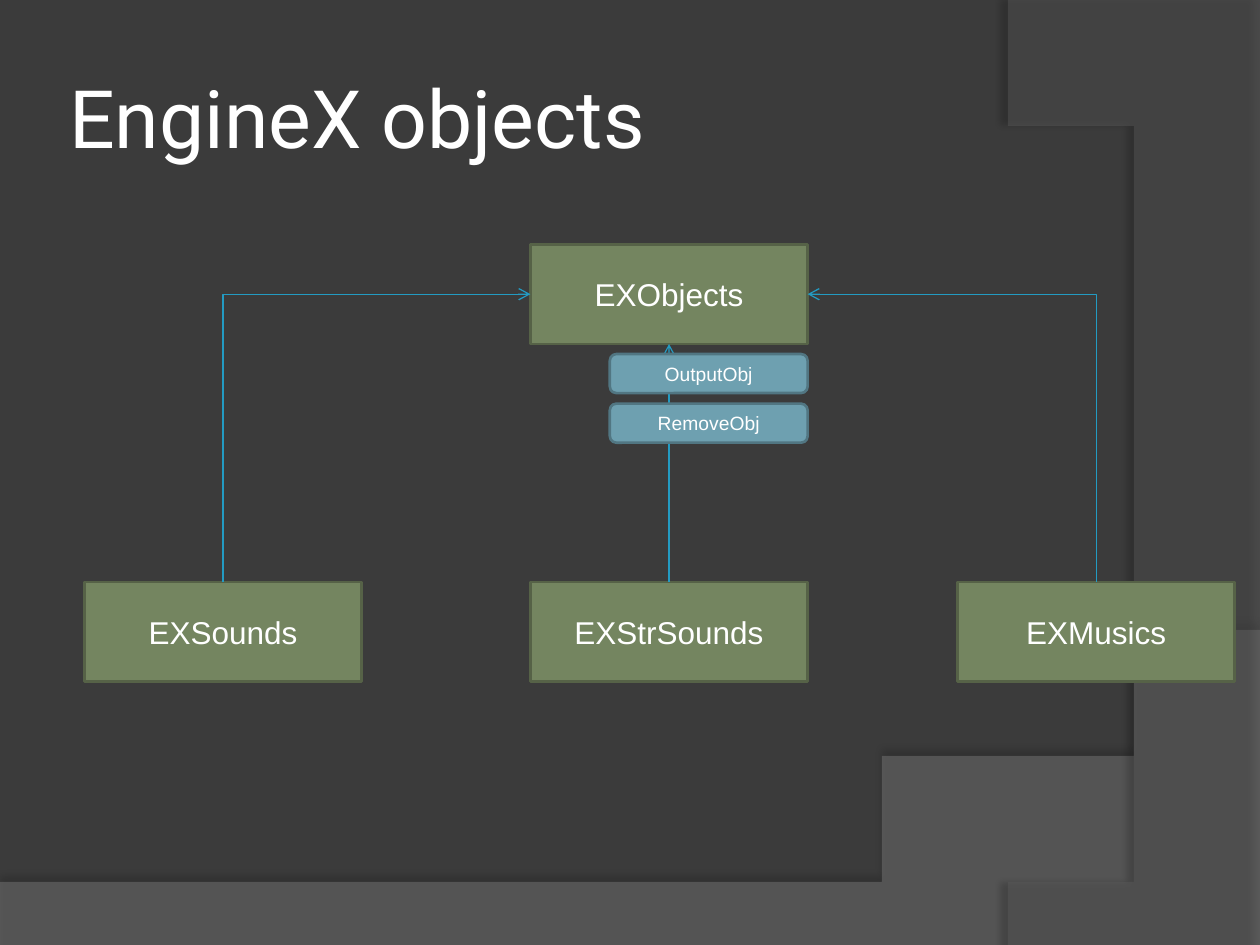
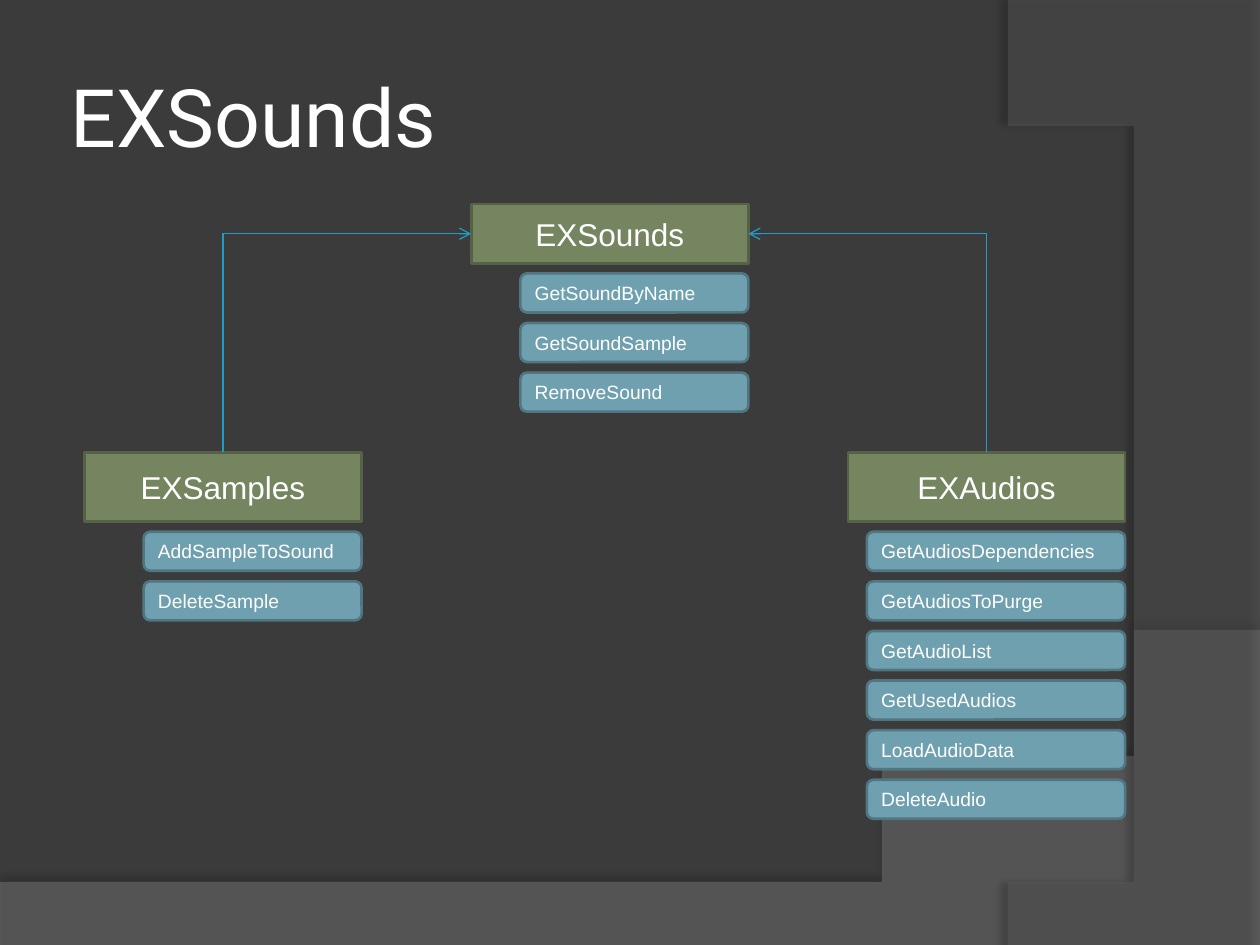
from lxml.etree import SubElement
from pptx import Presentation
from pptx.dml.color import RGBColor
from pptx.enum.shapes import MSO_CONNECTOR as CONN, MSO_SHAPE as SHAPE
from pptx.enum.text import MSO_ANCHOR as ANCHOR, PP_ALIGN as ALIGN
from pptx.oxml.ns import qn
from pptx.util import Inches, Pt

BACKGROUND, WHITE = "3B3B3B", "FFFFFF"
CLASS_FILL, CLASS_LINE = "748560", "566247"
METHOD_FILL, METHOD_LINE = "6EA0B0", "517682"
ARROW = "239BC2"
TITLE_FONT, BODY_FONT = "Roboto", "Arial"
CLASS_W = 2.2
METHOD_H, METHOD_GAP, METHOD_PITCH = 0.31, 0.08, 1 / 2.54
TOP, LEFT, BOTTOM, RIGHT = range(4)


def rgb(color):
    return RGBColor.from_string(color)


def write(shape, text, size, font, align):
    tf = shape.text_frame
    tf.text = text
    tf.word_wrap = True
    tf.vertical_anchor = ANCHOR.MIDDLE
    p = tf.paragraphs[0]
    p.alignment = align
    f = p.runs[0].font
    f.size, f.name, f.color.rgb = Pt(size), font, rgb(WHITE)


def add_title(s, text, x, y):
    box = s.shapes.add_textbox(Inches(x), Inches(y), Inches(8.17), Inches(1.25))
    tf = box.text_frame
    tf.margin_left = tf.margin_right = tf.margin_top = tf.margin_bottom = Inches(0.05)
    write(box, text, 46, TITLE_FONT, ALIGN.LEFT)


def bezier(p0, p1, p2, p3, steps=60):
    for i in range(1, steps + 1):
        t = i / steps
        u = 1 - t
        yield tuple(u**3 * a + 3 * u * u * t * b + 3 * u * t * t * c + t**3 * d
                    for a, b, c, d in zip(p0, p1, p2, p3))


def add_swoosh(s, corners, curve, color, opacity, shadow_opacity, distance, angle):
    points = corners + list(bezier(corners[-1], *curve))
    builder = s.shapes.build_freeform(*points[0], scale=Inches(1))
    builder.add_line_segments(points[1:])
    swoosh = builder.convert_to_shape()
    swoosh.fill.solid()
    swoosh.fill.fore_color.rgb = rgb(color)
    swoosh.line.fill.background()
    swoosh.shadow.inherit = False
    spPr = swoosh._element.spPr
    fill_color = spPr.find(qn("a:solidFill")).find(qn("a:srgbClr"))
    SubElement(fill_color, qn("a:alpha"), val=str(opacity * 1000))
    shadow = SubElement(spPr.find(qn("a:effectLst")), qn("a:outerShdw"),
                        blurRad=str(Pt(4)), dist=str(Pt(distance)),
                        dir=str(angle * 60000), rotWithShape="0")
    shadow_color = SubElement(shadow, qn("a:srgbClr"), val="000000")
    SubElement(shadow_color, qn("a:alpha"), val=str(shadow_opacity * 1000))


def add_backdrop(s):
    add_swoosh(s, [(0, 7.05), (0, 7.51), (10, 7.51), (10, 5.2)],
               [(5.59, 7.29), (3.91, 7.19), (0, 7.05)], "7F7F7F", 45, 35, 3.5, 270)
    add_swoosh(s, [(10, 0.02), (10, 7.5), (8.21, 7.5)],
               [(9.35, 6.19), (10.18, 3), (8, 0)], "5E5E5E", 40, 45, 4, 180)


def add_box(s, kind, x, y, w, h, fill, line):
    sp = s.shapes.add_shape(kind, Inches(x), Inches(y), Inches(w), Inches(h))
    sp.shadow.inherit = False
    sp.fill.solid()
    sp.fill.fore_color.rgb = rgb(fill)
    sp.line.color.rgb = rgb(line)
    sp.line.width = Pt(1.5)
    return sp


def add_class(s, name, x, y, h):
    sp = add_box(s, SHAPE.RECTANGLE, x, y, CLASS_W, h, CLASS_FILL, CLASS_LINE)
    write(sp, name, 18, BODY_FONT, ALIGN.CENTER)
    return sp


def add_methods(s, names, x, y, h, w, align=ALIGN.LEFT):
    for i, name in enumerate(names):
        sp = add_box(s, SHAPE.ROUNDED_RECTANGLE, x + CLASS_W - w,
                     y + h + METHOD_GAP + i * METHOD_PITCH, w, METHOD_H,
                     METHOD_FILL, METHOD_LINE)
        write(sp, name, 11, BODY_FONT, align)


def add_inheritance(s, parent, side, child):
    kind = CONN.STRAIGHT if side == BOTTOM else CONN.ELBOW
    c = s.shapes.add_connector(kind, 0, 0, 0, 0)
    c.begin_connect(parent, side)
    c.end_connect(child, TOP)
    c.line.color.rgb = rgb(ARROW)
    c.line.width = Pt(0.75)
    spPr = c._element.spPr
    if kind == CONN.ELBOW:
        spPr.find(qn("a:prstGeom")).set("prst", "bentConnector2")
    SubElement(spPr.find(qn("a:ln")), qn("a:headEnd"), type="arrow")
    SubElement(spPr, qn("a:effectLst"))


def new_slide(prs, title, x, y):
    s = prs.slides.add_slide(prs.slide_layouts[6])
    add_backdrop(s)
    add_title(s, title, x, y)
    return s


def objects_slide(prs):
    s = new_slide(prs, "EngineX objects", 0.5, 0.3)
    x, y, h = 4.21, 1.94, 0.79
    parent = add_class(s, "EXObjects", x, y, h)
    children = [("EXSounds", 0.67, LEFT), ("EXStrSounds", x, BOTTOM),
                ("EXMusics", 7.6, RIGHT)]
    for name, child_x, side in children:
        add_inheritance(s, parent, side, add_class(s, name, child_x, 4.62, h))
    add_methods(s, ["OutputObj", "RemoveObj"], x, y, h, 1.57, ALIGN.CENTER)


def sounds_slide(prs):
    s = new_slide(prs, "EXSounds", 0.51, 0.29)
    x, y, h = 3.74, 1.62, 0.47
    parent = add_class(s, "EXSounds", x, y, h)
    add_methods(s, ["GetSoundByName", "GetSoundSample", "RemoveSound"], x, y, h, 1.81)
    children = [
        ("EXSamples", 0.67, LEFT, 1.73, ["AddSampleToSound", "DeleteSample"]),
        ("EXAudios", 6.73, RIGHT, 2.05,
         ["GetAudiosDependencies", "GetAudiosToPurge", "GetAudioList",
          "GetUsedAudios", "LoadAudioData", "DeleteAudio"]),
    ]
    for name, child_x, side, method_w, methods in children:
        child = add_class(s, name, child_x, 3.59, 0.55)
        add_methods(s, methods, child_x, 3.59, 0.55, method_w)
        add_inheritance(s, parent, side, child)


def main():
    prs = Presentation()
    prs.slide_width, prs.slide_height = Inches(10), Inches(7.5)
    backdrop = prs.slide_master.background.fill
    backdrop.solid()
    backdrop.fore_color.rgb = rgb(BACKGROUND)
    objects_slide(prs)
    sounds_slide(prs)
    prs.save("out.pptx")


if __name__ == "__main__":
    main()
